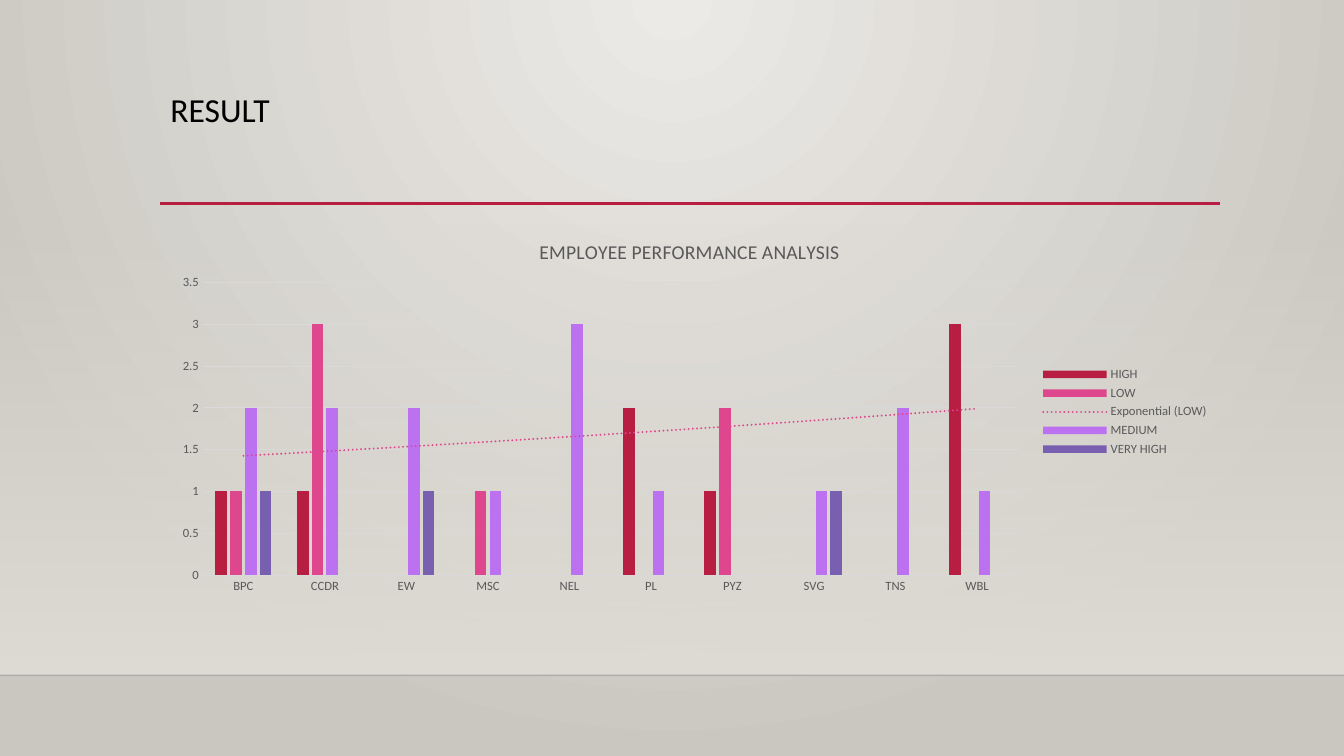
"""Build the employee performance result slide."""
from lxml import etree
from pptx import Presentation
from pptx.chart.data import CategoryChartData
from pptx.dml.color import RGBColor
from pptx.enum import chart as ch, shapes, text
from pptx.oxml import parse_xml
from pptx.oxml.ns import nsdecls, qn
from pptx.util import Inches, Pt

FONT = "Calibri"
BLACK = RGBColor(0x00, 0x00, 0x00)
GREY = RGBColor(0x59, 0x59, 0x59)
GRID = RGBColor(0xD9, 0xD9, 0xD9)
WALL_LIGHT = RGBColor(0xEC, 0xEA, 0xE7)
WALL_DARK = RGBColor(0xCA, 0xC7, 0xC1)
HAZE = RGBColor(0xDF, 0xDB, 0xD5)
CRIMSON = RGBColor(0xB7, 0x1E, 0x42)
PINK = RGBColor(0xDE, 0x47, 0x8E)
LILAC = RGBColor(0xBC, 0x72, 0xF0)
VIOLET = RGBColor(0x79, 0x5F, 0xAF)

DEPARTMENTS = ["BPC", "CCDR", "EW", "MSC", "NEL", "PL", "PYZ", "SVG", "TNS", "WBL"]
RATINGS = [
    ("HIGH", CRIMSON, [1, 1, None, None, None, 2, 1, None, None, 3]),
    ("LOW", PINK, [1, 3, None, 1, None, None, 2, None, None, None]),
    ("MEDIUM", LILAC, [2, 2, 2, 1, 3, 1, None, 1, 2, 1]),
    ("VERY HIGH", VIOLET, [1, None, 1, None, None, None, None, 1, None, None]),
]


def style_font(font, size, color):
    """Set the typeface, size and colour of a font."""
    font.name, font.size, font.bold = FONT, Pt(size), False
    font.color.rgb = color


def set_gradient(fill, start, end):
    """Fill with two colours running from top to bottom."""
    fill.gradient()
    fill.gradient_angle = 270
    for stop, color, position in zip(fill.gradient_stops, (start, end), (0, 1)):
        stop.color.rgb = color
        stop.position = position


def set_opacity(shape, percent):
    """Set the opacity of the first colour in a shape."""
    color = shape._element.spPr.xpath(".//a:srgbClr")[0]
    etree.SubElement(color, qn("a:alpha"), val=str(percent * 1000))


def paint_background(page):
    """Give the page a radial gradient centred on its top edge."""
    set_gradient(page.background.fill, WALL_LIGHT, WALL_DARK)
    linear = page._element.xpath(".//p:bg//a:lin")[0]
    radial = parse_xml(
        f'<a:path {nsdecls("a")} path="circle">'
        '<a:fillToRect l="43000" t="0" r="43000" b="100000"/></a:path>')
    linear.getparent().replace(linear, radial)


def add_haze(page):
    """Add the band that fades in towards the floor."""
    band = page.shapes.add_shape(
        shapes.MSO_SHAPE.RECTANGLE, 0, Inches(2.21), Inches(13.33), Inches(4.49))
    band.shadow.inherit = False
    band.line.fill.background()
    set_gradient(band.fill, HAZE, HAZE)
    set_opacity(band, 0)


def add_rule(page, left, right, top, color, width):
    """Add a horizontal line."""
    rule = page.shapes.add_connector(
        shapes.MSO_CONNECTOR.STRAIGHT, Inches(left), Inches(top), Inches(right), Inches(top))
    rule.line.color.rgb = color
    rule.line.width = Pt(width)
    etree.SubElement(rule._element.spPr, qn("a:effectLst"))
    return rule


def set_title(page, wording):
    """Place and format the title placeholder."""
    title = page.shapes.title
    title.left, title.top = Inches(1.59), Inches(0.88)
    title.width, title.height = Inches(1.86), Inches(0.64)
    frame = title.text_frame
    frame.text = wording
    frame.word_wrap = True
    frame.auto_size = text.MSO_AUTO_SIZE.NONE
    frame.vertical_anchor = text.MSO_ANCHOR.TOP
    para = frame.paragraphs[0]
    para.alignment = text.PP_ALIGN.LEFT
    para.line_spacing = 0.9
    style_font(para.runs[0].font, 24, BLACK)


def style_axis(axis):
    """Apply the shared axis look."""
    axis.major_tick_mark = axis.minor_tick_mark = ch.XL_TICK_MARK.NONE
    style_font(axis.tick_labels.font, 9, GREY)


def style_line(line, color):
    """Make a thin chart line."""
    line.color.rgb = color
    line.width = Pt(0.75)


def add_trend(series, color):
    """Add a dotted exponential trend line to a series."""
    trend = parse_xml(
        f'<c:trendline {nsdecls("c", "a")}><c:spPr><a:ln w="{Pt(1.5)}" cap="rnd">'
        f'<a:solidFill><a:srgbClr val="{color}"/></a:solidFill>'
        '<a:prstDash val="sysDot"/></a:ln></c:spPr><c:trendlineType val="exp"/>'
        '<c:dispRSqr val="0"/><c:dispEq val="0"/></c:trendline>')
    series._element.find(qn("c:cat")).addprevious(trend)


def place_plot(chart, left, top, width, height):
    """Fix the inner plot area as fractions of the chart."""
    area = chart._chartSpace.xpath(".//c:plotArea")[0]
    for layout in area.findall(qn("c:layout")):
        area.remove(layout)
    area.insert(0, parse_xml(
        f'<c:layout {nsdecls("c")}><c:manualLayout><c:layoutTarget val="inner"/>'
        '<c:xMode val="edge"/><c:yMode val="edge"/>'
        f'<c:x val="{left}"/><c:y val="{top}"/><c:w val="{width}"/><c:h val="{height}"/>'
        '</c:manualLayout></c:layout>'))


def add_performance_chart(page):
    """Add the clustered columns of ratings by department."""
    data = CategoryChartData()
    data.categories = DEPARTMENTS
    for name, _, values in RATINGS:
        data.add_series(name, values)
    chart = page.shapes.add_chart(
        ch.XL_CHART_TYPE.COLUMN_CLUSTERED, Inches(1.59), Inches(2.2),
        Inches(10.5), Inches(3.77), data).chart
    style_font(chart.font, 10, BLACK)

    chart.has_title = True
    heading = chart.chart_title.text_frame
    heading.text = "EMPLOYEE PERFORMANCE ANALYSIS"
    style_font(heading.paragraphs[0].runs[0].font, 14, GREY)
    chart.chart_title.include_in_layout = False

    chart.has_legend = True
    chart.legend.position = ch.XL_LEGEND_POSITION.RIGHT
    chart.legend.include_in_layout = False
    style_font(chart.legend.font, 9, GREY)

    style_axis(chart.category_axis)
    style_line(chart.category_axis.format.line, GRID)
    style_axis(chart.value_axis)
    chart.value_axis.format.line.fill.background()
    style_line(chart.value_axis.major_gridlines.format.line, GRID)

    plot = chart.plots[0]
    plot.gap_width, plot.overlap = 219, -27
    plot.vary_by_categories = False
    for series, (name, color, _) in zip(plot.series, RATINGS):
        series.format.fill.solid()
        series.format.fill.fore_color.rgb = color
        if name == "LOW":
            add_trend(series, color)
    place_plot(chart, 0.04, 0.16, 0.77, 0.77)


def main():
    """Build and save the deck."""
    deck = Presentation()
    deck.slide_width, deck.slide_height = Inches(13.33), Inches(7.5)
    page = deck.slides.add_slide(deck.slide_layouts[5])
    paint_background(page)
    add_haze(page)
    floor_edge = add_rule(page, 0, 13.33, 6.7, BLACK, 1)
    set_opacity(floor_edge, 20)
    add_rule(page, 1.59, 12.1, 2.02, CRIMSON, 2.5)
    set_title(page, "RESULT")
    add_performance_chart(page)
    deck.save("out.pptx")


if __name__ == "__main__":
    main()
